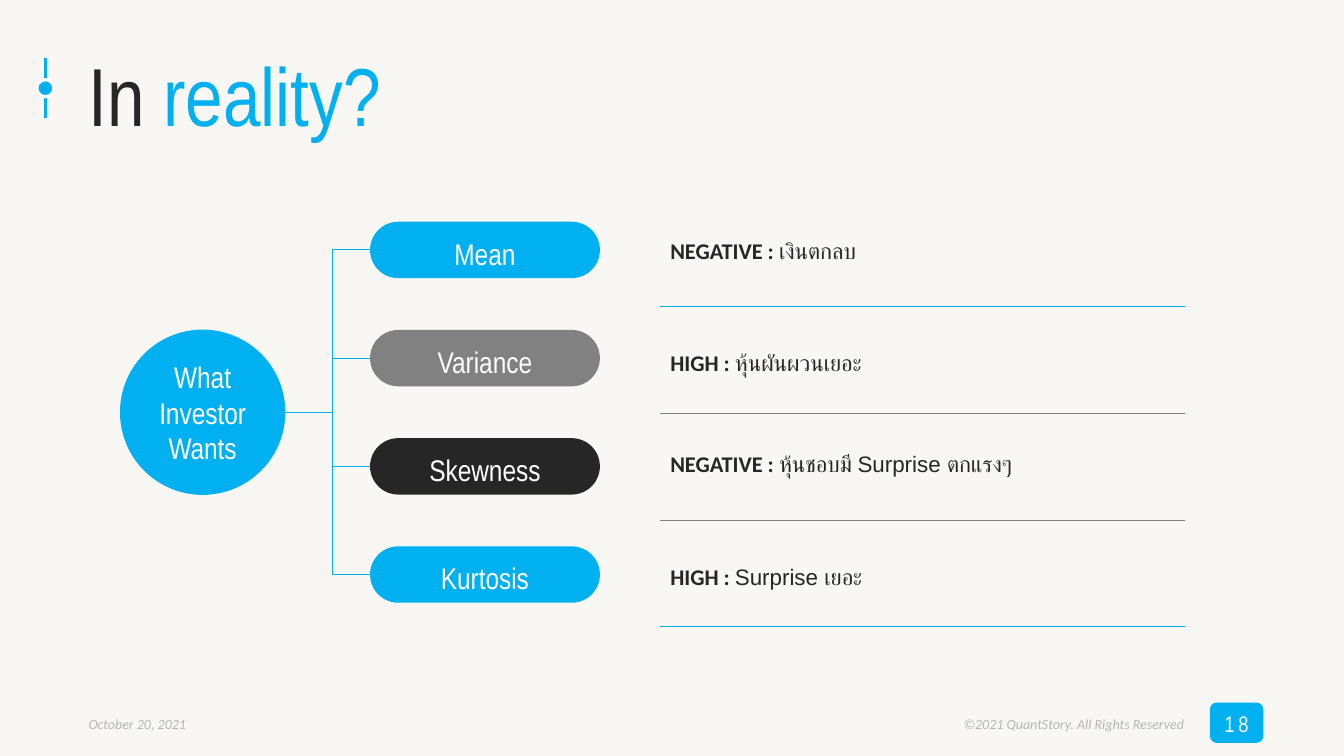
from lxml import etree
from pptx import Presentation
from pptx.dml.color import RGBColor
from pptx.enum.shapes import MSO_CONNECTOR, MSO_SHAPE
from pptx.enum.text import MSO_ANCHOR, PP_ALIGN
from pptx.oxml.ns import qn
from pptx.util import Inches, Pt

STRAIGHT, ELBOW = MSO_CONNECTOR.STRAIGHT, MSO_CONNECTOR.ELBOW
OVAL, ROUNDED = MSO_SHAPE.OVAL, MSO_SHAPE.ROUNDED_RECTANGLE
TOP, MIDDLE = MSO_ANCHOR.TOP, MSO_ANCHOR.MIDDLE
LEFT, CENTER, RIGHT = PP_ALIGN.LEFT, PP_ALIGN.CENTER, PP_ALIGN.RIGHT

WIDTH, HEIGHT = 13.33, 7.5
BLUE, GRAY, DARK, WHITE = "00B0F0", "818181", "262626", "FFFFFF"
RULE_BLUE, FOOTER_GRAY, PAPER = "00ACEB", "B6B6B6", "F8F7F3"
NARROW, BODY, THAI = "Arial Narrow", "Calibri", "Arial"

MOMENTS = [("Mean", BLUE), ("Variance", GRAY), ("Skewness", DARK), ("Kurtosis", BLUE)]
# Label, explanation, offset of the text above its rule, rule colour
REALITIES = [
    ("NEGATIVE : ", "เงินตกลบ", 0.69, RULE_BLUE),
    ("HIGH : ", "หุ้นผันผวนเยอะ", 0.64, GRAY),
    ("NEGATIVE : ", "หุ้นชอบมี Surprise ตกแรงๆ", 0.69, GRAY),
    ("HIGH : ", "Surprise เยอะ", 0.63, RULE_BLUE),
]


def color(hex_value):
    return RGBColor.from_string(hex_value)


def add_line(slide, kind, start, end, line_color, weight=0.75):
    ends = [Inches(value) for value in (*start, *end)]
    line = slide.shapes.add_connector(kind, *ends)
    line.line.color.rgb = color(line_color)
    line.line.width = Pt(weight)
    etree.SubElement(line._element.spPr, qn("a:effectLst"))
    return line


def add_elbow(slide, start, end, bend_x):
    """Join two points with a bent line that turns at bend_x."""
    line = add_line(slide, ELBOW, start, end, BLUE)
    share = (bend_x - start[0]) / (end[0] - start[0])
    adjustments = line._element.spPr.find(qn("a:prstGeom")).get_or_add_avLst()
    etree.SubElement(adjustments, qn("a:gd"), name="adj1",
                     fmla=f"val {round(share * 100000)}")


def write(shape, runs, size, align=LEFT, anchor=TOP, margins=(0.1, 0.05, 0.1, 0.05)):
    """Fill a shape with one paragraph of (text, font, colour, bold) runs."""
    frame = shape.text_frame
    frame.word_wrap = True
    frame.vertical_anchor = anchor
    (frame.margin_left, frame.margin_top,
     frame.margin_right, frame.margin_bottom) = map(Inches, margins)
    paragraph = frame.paragraphs[0]
    paragraph.alignment = align
    paragraph.font.size = Pt(size)
    for text, font_name, font_color, bold in runs:
        run = paragraph.add_run()
        run.text = text
        run.font.name = font_name
        run.font.size = Pt(size)
        run.font.bold = bold
        run.font.color.rgb = color(font_color)
    return paragraph


def add_text(slide, box, runs, size, **layout):
    return write(slide.shapes.add_textbox(*map(Inches, box)), runs, size, **layout)


def add_solid(slide, kind, box, fill):
    shape = slide.shapes.add_shape(kind, *map(Inches, box))
    shape.shadow.inherit = False
    shape.fill.solid()
    shape.fill.fore_color.rgb = color(fill)
    shape.line.fill.background()
    return shape


def add_heading(slide, left, top, width, height):
    marker_x, marker_y, dot = left - 0.33, top + 0.575, 0.17
    add_line(slide, STRAIGHT, (marker_x, marker_y - 0.295),
             (marker_x, marker_y + 0.295), BLUE, 2.25)
    marker = add_solid(slide, OVAL, (marker_x - dot / 2, marker_y - dot / 2, dot, dot), BLUE)
    marker.line.color.rgb = color(WHITE)
    marker.line.width = Pt(2.25)
    add_text(slide, (left, top, width, height),
             [("In ", NARROW, DARK, False), ("reality?", NARROW, BLUE, False)],
             58.7, anchor=MIDDLE)


def add_moment_tree(slide, left, top, width, height):
    """Draw the circle on the left, branching to one pill per moment."""
    circle, pill_width, pill_height = 1.64, 2.28, 0.56
    pill_left = left + width - pill_width
    step = (height - pill_height) / (len(MOMENTS) - 1)
    middle = top + height / 2
    root = (left + circle, middle)
    for row in range(len(MOMENTS)):
        branch = (pill_left, top + row * step + pill_height / 2)
        add_elbow(slide, root, branch, root[0] + 0.47)
    hub = add_solid(slide, OVAL, (left, middle - circle / 2, circle, circle), BLUE)
    write(hub, [("What Investor Wants", NARROW, WHITE, False)], 21.3, CENTER, MIDDLE)
    for row, (name, fill) in enumerate(MOMENTS):
        pill = add_solid(slide, ROUNDED,
                         (pill_left, top + row * step, pill_width, pill_height), fill)
        pill.adjustments[0] = 0.5
        write(pill, [(name, NARROW, WHITE, False)], 21.3, CENTER, MIDDLE,
              (0.1, 0.07, 0.1, 0))


def add_realities(slide, left, top, width, height):
    """Stack the explanations, each closed by a rule."""
    step = height / len(REALITIES)
    for row, (label, text, rise, rule_color) in enumerate(REALITIES, 1):
        rule_y = top + row * step
        add_text(slide, (left, rule_y - rise, width - 0.23, 0.32),
                 [(label, BODY, DARK, True), (text, THAI, DARK, False)],
                 16, margins=(0.1, 0, 0.1, 0.05))
        add_line(slide, STRAIGHT, (left, rule_y), (left + width, rule_y), rule_color)


def add_footer(slide, left, top, width, height):
    badge_width = 0.53
    badge_left = left + width - badge_width
    notes = [
        ("October 20, 2021", left, 3.11, LEFT),
        ("©2021 QuantStory. All Rights Reserved", badge_left - 5.94, 5.78, RIGHT),
    ]
    for text, note_left, note_width, align in notes:
        paragraph = add_text(slide, (note_left, top + 0.08, note_width, 0.27),
                             [(text, BODY, FOOTER_GRAY, False)], 10, align=align)
        paragraph.runs[0].font.italic = True
    badge = add_solid(slide, ROUNDED, (badge_left, top, badge_width, height), BLUE)
    number = write(badge, [("18", NARROW, WHITE, False)], 16, CENTER, MIDDLE,
                   (0, 0.02, 0, 0))
    number.runs[0].font._element.set("spc", "270")


def main():
    presentation = Presentation()
    presentation.slide_width = Inches(WIDTH)
    presentation.slide_height = Inches(HEIGHT)
    slide = presentation.slides.add_slide(presentation.slide_layouts[6])
    slide.background.fill.solid()
    slide.background.fill.fore_color.rgb = color(PAPER)
    add_heading(slide, 0.78, 0.3, 11.89, 1.25)
    add_moment_tree(slide, 1.19, 2.2, 4.76, 3.78)
    add_realities(slide, 6.55, 1.98, 5.2, 4.24)
    add_footer(slide, 0.78, 6.97, 11.75, 0.4)
    presentation.save("out.pptx")


if __name__ == "__main__":
    main()
